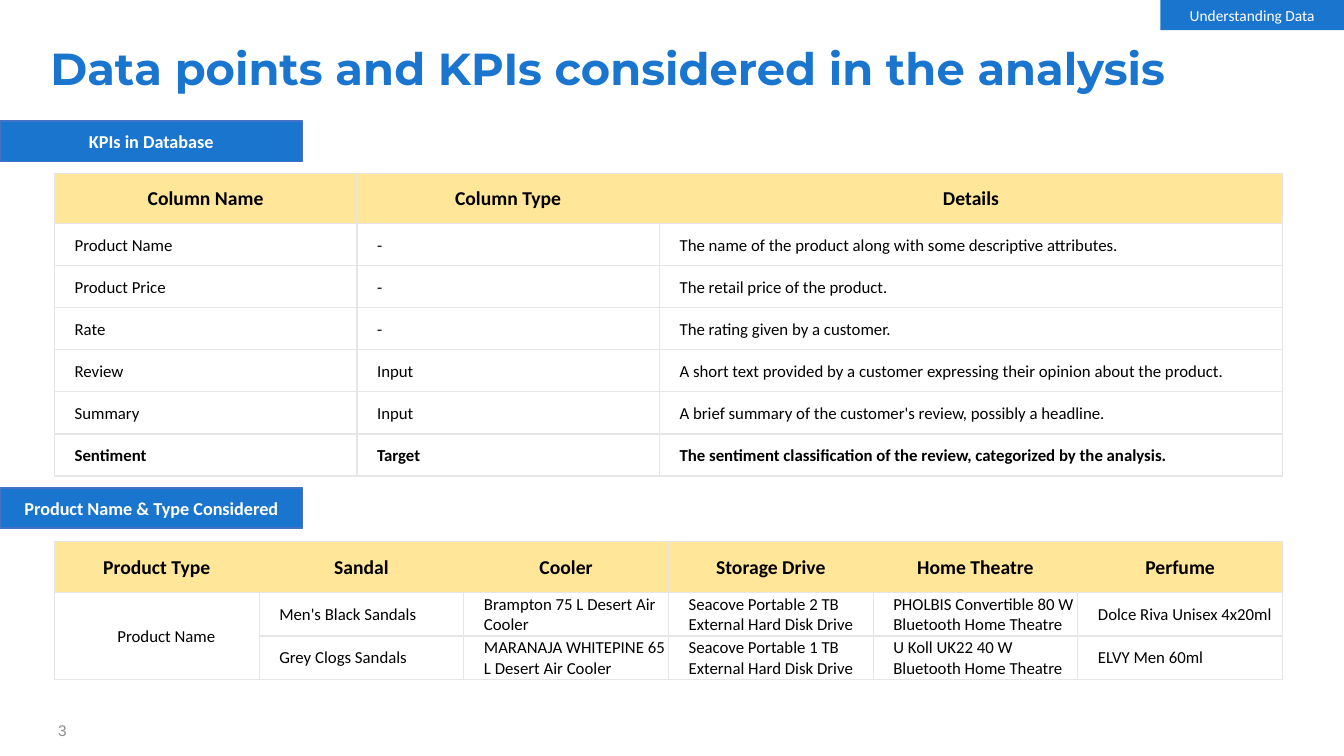
from lxml import etree
from pptx import Presentation
from pptx.dml.color import RGBColor
from pptx.enum import shapes, text
from pptx.oxml import ns
from pptx.util import Inches, Pt

THEME = {
    "blue": "1A75CF", "outline": "4472C4", "header": "FFE699", "grid": "E7E6E6",
    "white": "FFFFFF", "black": "000000", "grey": "8C8C8C",
    "body_font": "Calibri", "title_font": "Montserrat", "number_font": "Arial",
    "title": 32, "head": 14, "label": 13, "body": 12, "small": 11,
}

TITLE = "Data points and KPIs considered in the analysis"
SECTION = "Understanding Data"
PAGE_NUMBER = "3"

KPIS = {
    "label": "KPIs in Database",
    "label_top": 1.2,
    "top": 1.72,
    "columns": [3, 3, 6.18],
    "heights": [0.5] + [0.417] * 6,
    "rows": [
        ("Column Name", "Column Type", "Details"),
        ("Product Name", "-",
         "The name of the product along with some descriptive attributes."),
        ("Product Price", "-", "The retail price of the product."),
        ("Rate", "-", "The rating given by a customer."),
        ("Review", "Input",
         "A short text provided by a customer expressing their opinion about the product."),
        ("Summary", "Input",
         "A brief summary of the customer's review, possibly a headline."),
        ("Sentiment", "Target",
         "The sentiment classification of the review, categorized by the analysis."),
    ],
}

PRODUCTS = {
    "label": "Product Name & Type Considered",
    "label_top": 4.84,
    "top": 5.37,
    "columns": [2.03] * 6,
    "heights": [0.51, 0.43, 0.43],
    "rows": [
        ("Product Type", "Sandal", "Cooler", "Storage Drive", "Home Theatre", "Perfume"),
        ("Product Name", "Men's Black Sandals", "Brampton 75 L Desert Air Cooler",
         "Seacove Portable 2 TB External Hard Disk Drive",
         "PHOLBIS Convertible 80 W Bluetooth Home Theatre",
         "Dolce Riva Unisex 4x20ml"),
        ("", "Grey Clogs Sandals", "MARANAJA WHITEPINE 65 L Desert\u00a0Air\u00a0Cooler",
         "Seacove Portable 1 TB External Hard Disk Drive",
         "U Koll UK22 40 W Bluetooth Home Theatre", "ELVY Men 60ml"),
    ],
}


def color(name):
    return RGBColor.from_string(THEME[name])


def write(frame, words, size, ink, font="body_font", bold=False, centred=True):
    frame.text = words
    frame.word_wrap = True
    para = frame.paragraphs[0]
    para.alignment = text.PP_ALIGN.CENTER if centred else text.PP_ALIGN.LEFT
    for span in para.runs:
        span.font.name = THEME[font]
        span.font.size = Pt(THEME[size])
        span.font.bold = bold
        span.font.color.rgb = color(ink)
    return para


def add_text(page, place, words, size, ink, **style):
    box = page.shapes.add_textbox(*map(Inches, place))
    box.text_frame.vertical_anchor = text.MSO_ANCHOR.MIDDLE
    return write(box.text_frame, words, size, ink, **style)


def add_bar(page, place, words, size, outlined=False):
    bar = page.shapes.add_shape(shapes.MSO_SHAPE.RECTANGLE, *map(Inches, place))
    bar.shadow.inherit = False
    bar.fill.solid()
    bar.fill.fore_color.rgb = color("blue")
    if outlined:
        bar.line.color.rgb = color("outline")
        bar.line.width = Pt(1)
    else:
        bar.line.fill.background()
    frame = bar.text_frame
    frame.margin_left = frame.margin_right = frame.margin_top = frame.margin_bottom = 0
    frame.vertical_anchor = text.MSO_ANCHOR.MIDDLE
    write(frame, words, size, "white", bold=outlined)


def draw_borders(cell):
    props = cell._tc.get_or_add_tcPr()
    for position, side in enumerate(("lnL", "lnR", "lnT", "lnB")):
        line = etree.Element(ns.qn("a:" + side), w=str(Pt(1)))
        fill = etree.SubElement(line, ns.qn("a:solidFill"))
        etree.SubElement(fill, ns.qn("a:srgbClr"), val=THEME["grid"])
        props.insert(position, line)


def format_cell(cell, words, header, bold, centred):
    cell.margin_left = cell.margin_right = cell.margin_top = Inches(0.01)
    cell.margin_bottom = 0
    cell.vertical_anchor = text.MSO_ANCHOR.MIDDLE
    cell.fill.solid()
    cell.fill.fore_color.rgb = color("header" if header else "white")
    para = write(cell.text_frame, words, "head" if header else "body", "black",
                 bold=bold, centred=centred)
    if not header:
        para._p.get_or_add_pPr().set("marL", str(Inches(0.19)))
    draw_borders(cell)


def add_section(page, section, bold_rows=(0,), merge_first=False):
    """Draw a section label and the table below it."""
    add_bar(page, (0, section["label_top"], 3, 0.4), section["label"], "label", outlined=True)
    rows, columns, heights = section["rows"], section["columns"], section["heights"]
    place = (0.54, section["top"], sum(columns), sum(heights))
    table = page.shapes.add_table(len(rows), len(columns), *map(Inches, place)).table
    for column, width in zip(table.columns, columns):
        column.width = Inches(width)
    for row, height in zip(table.rows, heights):
        row.height = Inches(height)
    for r, row in enumerate(rows):
        for c, words in enumerate(row):
            centred = r == 0 or (merge_first and c == 0)
            format_cell(table.cell(r, c), words, r == 0, r in bold_rows, centred)
    if merge_first:
        table.cell(1, 0).merge(table.cell(len(rows) - 1, 0))


def main():
    deck = Presentation()
    deck.slide_width, deck.slide_height = Inches(13.33), Inches(7.5)
    page = deck.slides.add_slide(deck.slide_layouts[6])
    add_bar(page, (11.51, 0, 1.82, 0.3), SECTION, "small")
    title = add_text(page, (0.4, 0.31, 12.52, 0.78), TITLE, "title", "blue",
                     font="title_font", bold=True, centred=False)
    title.line_spacing = 0.9
    add_section(page, KPIS, bold_rows=(0, len(KPIS["rows"]) - 1))
    add_section(page, PRODUCTS, merge_first=True)
    add_text(page, (0.4, 7.14, 0.44, 0.21), PAGE_NUMBER, "small", "grey", font="number_font")
    deck.save("out.pptx")


if __name__ == "__main__":
    main()
